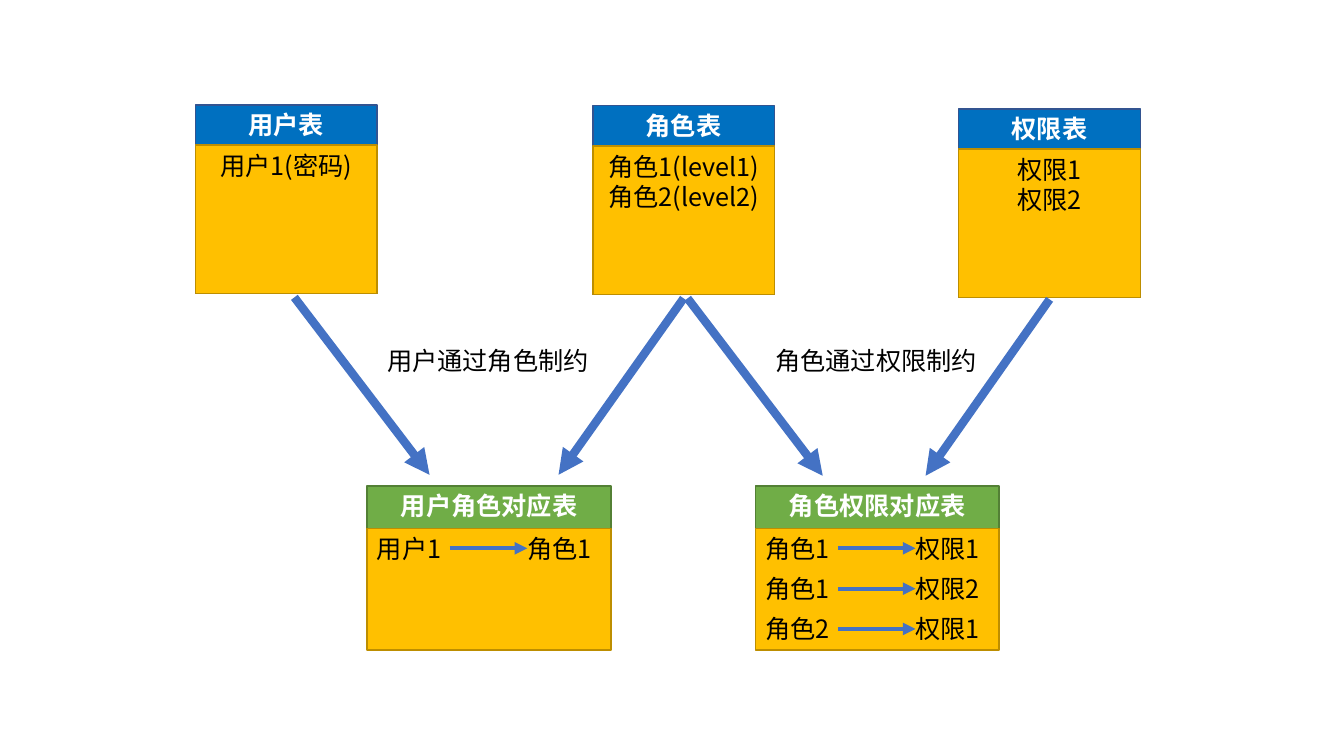
from lxml import etree
from pptx import Presentation
from pptx.dml.color import RGBColor
from pptx.enum import shapes, text
from pptx.oxml import ns
from pptx.util import Inches, Pt

COLORS = {
    "blue": "0070C0", "blue_edge": "325491",
    "green": "70AD47", "green_edge": "538035",
    "amber": "FFC000", "amber_edge": "BD8E00",
    "arrow": "4472C4", "white": "FFFFFF", "black": "000000",
}
FONT = "Noto Sans CJK SC"
LINE_HEIGHT = 0.4
ROW_STEP = 0.4
TAB_STOP = 1.49
CENTER = text.PP_ALIGN.CENTER
LEFT = text.PP_ALIGN.LEFT


def color(name):
    """Return the named colour."""
    return RGBColor.from_string(COLORS[name])


def set_all(target, values):
    """Set each attribute in a dict on the target."""
    for name, value in values.items():
        setattr(target, name, value)


def add_rect(page, left, top, width, height, fill):
    """Draw a filled rectangle with its darker edge."""
    box = page.shapes.add_shape(
        shapes.MSO_SHAPE.RECTANGLE, *map(Inches, (left, top, width, height)))
    box.shadow.inherit = False
    box.fill.solid()
    box.fill.fore_color.rgb = color(fill)
    box.line.color.rgb = color(fill + "_edge")
    box.line.width = Pt(1)


def add_tab_stop(para):
    """Give a paragraph one left tab stop."""
    stops = etree.SubElement(para._p.get_or_add_pPr(), ns.qn("a:tabLst"))
    etree.SubElement(stops, ns.qn("a:tab"), pos=str(Inches(TAB_STOP)), algn="l")


def add_text(page, left, top, width, lines, align=LEFT, ink="black", bold=False):
    """Place a text box with one paragraph per line."""
    height = LINE_HEIGHT + 0.31 * (len(lines) - 1)
    box = page.shapes.add_textbox(*map(Inches, (left, top, width, height)))
    frame = box.text_frame
    set_all(frame, {"word_wrap": True,
                    "auto_size": text.MSO_AUTO_SIZE.SHAPE_TO_FIT_TEXT})
    for index, line in enumerate(lines):
        para = frame.add_paragraph() if index else frame.paragraphs[0]
        para.alignment = align
        if "\t" in line:
            add_tab_stop(para)
        span = para.add_run()
        span.text = line
        set_all(span.font, {"size": Pt(18), "bold": bold})
        span.font.color.rgb = color(ink)
        span.font.name = FONT
        etree.SubElement(span.font._element, ns.qn("a:ea"), typeface=FONT)


def add_arrow(page, start, end, width):
    """Draw a straight arrow from start to end."""
    arrow = page.shapes.add_connector(
        shapes.MSO_CONNECTOR.STRAIGHT, *map(Inches, (*start, *end)))
    arrow.line.color.rgb = color("arrow")
    arrow.line.width = Pt(width)
    etree.SubElement(arrow.line._get_or_add_ln(), ns.qn("a:tailEnd"),
                     type="triangle")
    etree.SubElement(arrow._element.spPr, ns.qn("a:effectLst"))


def add_entity_table(page, left, top, title, lines):
    """Draw a blue-headed table of entities."""
    width = 1.8
    add_rect(page, left, top, width, 1.87, "blue")
    add_rect(page, left, top + 0.4, width, 1.47, "amber")
    add_text(page, left, top, width, [title], CENTER, "white", True)
    add_text(page, left, top + 0.4, width, lines, CENTER)


def add_mapping_table(page, left, title, pairs):
    """Draw a green-headed table whose rows map one item to another."""
    top, width = 4.82, 2.42
    body_top = top + 0.42
    add_rect(page, left, top, width, 1.52, "green")
    add_rect(page, left, body_top, width, 1.21, "amber")
    add_text(page, left, top, width, [title], CENTER, "white", True)
    for row, pair in enumerate(pairs):
        row_top = body_top + row * ROW_STEP
        middle = row_top + LINE_HEIGHT / 2
        add_text(page, left, row_top, width, ["\t".join(pair)])
        add_arrow(page, (left + 0.82, middle), (left + 1.59, middle), 3)


def main():
    """Build the user, role and permission diagram."""
    deck = Presentation()
    set_all(deck, {"slide_width": Inches(13.33), "slide_height": Inches(7.5)})
    page = deck.slides.add_slide(deck.slide_layouts[6])

    add_entity_table(page, 1.94, 1.04, "用户表", ["用户1(密码)"])
    add_entity_table(page, 5.88, 1.05, "角色表", ["角色1(level1)", "角色2(level2)"])
    add_entity_table(page, 9.51, 1.08, "权限表", ["权限1", "权限2"])

    add_mapping_table(page, 3.64, "用户角色对应表", [("用户1", "角色1")])
    add_mapping_table(page, 7.49, "角色权限对应表", [
        ("角色1", "权限1"), ("角色1", "权限2"), ("角色2", "权限1")])

    for start, end in (
        ((2.92, 2.95), (4.26, 4.71)),
        ((6.82, 2.96), (8.16, 4.72)),
        ((6.78, 2.96), (5.54, 4.71)),
        ((10.41, 2.97), (9.18, 4.72)),
    ):
        add_arrow(page, start, end, 6)

    add_text(page, 3.74, 3.38, 2.32, ["用户通过角色制约"])
    add_text(page, 7.59, 3.38, 2.21, ["角色通过权限制约"])
    deck.save("out.pptx")


main()
